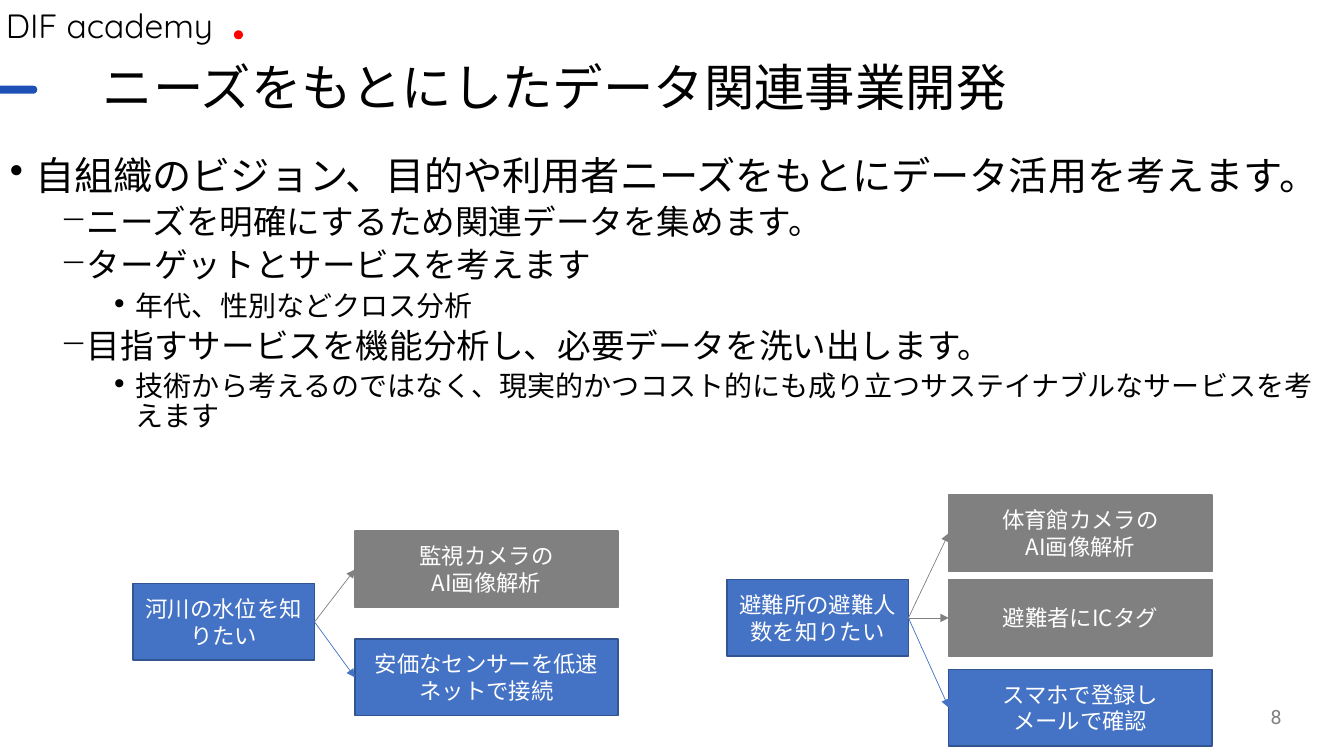
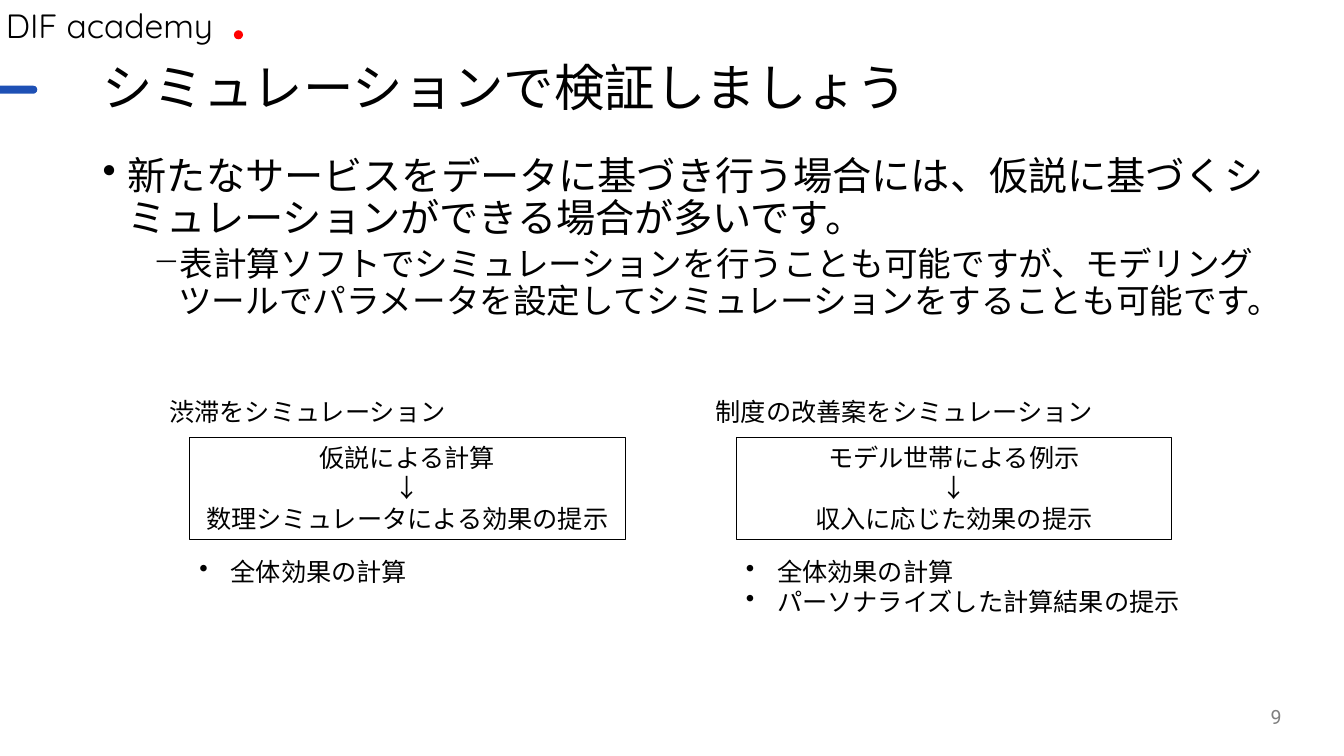
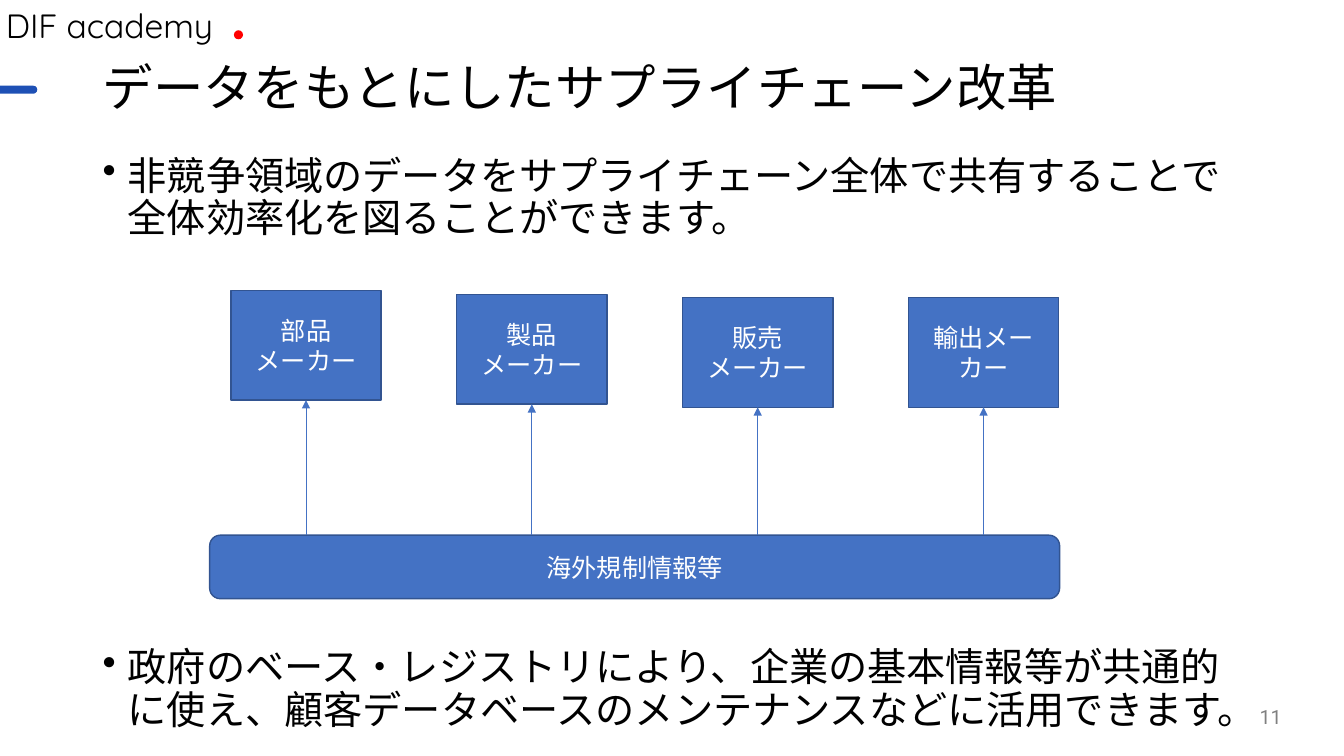
from lxml import etree
from pptx import Presentation
from pptx.dml.color import RGBColor
from pptx.enum.shapes import MSO_CONNECTOR, MSO_SHAPE
from pptx.enum.text import MSO_ANCHOR, PP_ALIGN
from pptx.oxml.ns import qn
from pptx.util import Inches, Pt

RECT, ROUND, OVAL = MSO_SHAPE.RECTANGLE, MSO_SHAPE.ROUNDED_RECTANGLE, MSO_SHAPE.OVAL
STRAIGHT = MSO_CONNECTOR.STRAIGHT
TOP, MIDDLE = MSO_ANCHOR.TOP, MSO_ANCHOR.MIDDLE
LEFT, CENTER, RIGHT = PP_ALIGN.LEFT, PP_ALIGN.CENTER, PP_ALIGN.RIGHT
BOTTOM_SIDE, LEFT_SIDE, RIGHT_SIDE = 2, 1, 3

COLORS = {
    "black": "000000", "white": "FFFFFF", "red": "FF0000", "accent": "1E50B5",
    "blue": "4472C4", "edge": "325491", "gray": "808080",
}
SANS, HEAD, BRAND = "Noto Sans CJK JP", "Roboto", "Quicksand"

# Outline levels: size, left margin, space before, bullet
LEVELS = [(28, 0.25, 10, "•"), (24, 0.75, 5, "−"), (20, 1.25, 5, "∙")]


def color(name):
    return RGBColor.from_string(COLORS[name])


def style(para, size, tint, font=SANS, align=LEFT):
    para.alignment = align
    para.font.size = Pt(size)
    para.font.color.rgb = color(tint)
    para.font.name = font
    east = etree.SubElement(para._p.pPr.find(qn("a:defRPr")), qn("a:ea"))
    east.set("typeface", SANS)


def bullet(para, char, margin, hang):
    """Give a styled paragraph a bullet with a hanging indent."""
    props = para._p.pPr
    props.set("marL", str(Inches(margin)))
    props.set("indent", str(Inches(-hang)))
    mark = etree.Element(qn("a:buChar"))
    mark.set("char", char)
    props.find(qn("a:defRPr")).addprevious(mark)


def write(frame, lines, size, tint="black", font=SANS, align=LEFT, anchor=TOP):
    """Put lines in a text frame and return its paragraphs."""
    frame.word_wrap = True
    frame.vertical_anchor = anchor
    frame.text = "\n".join(lines)
    for para in frame.paragraphs:
        style(para, size, tint, font, align)
    return frame.paragraphs


def text_box(slide, x, y, w, h):
    return slide.shapes.add_textbox(Inches(x), Inches(y), Inches(w), Inches(h))


def block(slide, kind, x, y, w, h, fill, edge=None):
    shape = slide.shapes.add_shape(kind, Inches(x), Inches(y), Inches(w), Inches(h))
    shape.shadow.inherit = False
    shape.fill.solid()
    shape.fill.fore_color.rgb = color(fill)
    if edge:
        shape.line.color.rgb = color(edge)
        shape.line.width = Pt(1)
    else:
        shape.line.fill.background()
    return shape


def node(slide, x, y, w, h, lines, size, fill="blue", kind=RECT):
    shape = block(slide, kind, x, y, w, h, fill, "edge" if fill == "blue" else fill)
    write(shape.text_frame, lines, size, "white", align=CENTER, anchor=MIDDLE)
    return shape


def arrow(slide, start, tint="blue"):
    """Draw an arrow from a point in EMU; the caller joins its end."""
    line = slide.shapes.add_connector(STRAIGHT, *start, *start)
    line.line.color.rgb = color(tint)
    line.line.width = Pt(0.5)
    tip = etree.SubElement(line.line._get_or_add_ln(), qn("a:tailEnd"))
    tip.set("type", "triangle")
    etree.SubElement(line._element.spPr, qn("a:effectLst"))
    return line


def outline(slide, x, y, w, h, items):
    """Write (level, text) items as a bulleted outline."""
    frame = text_box(slide, x, y, w, h).text_frame
    paras = write(frame, [text for _, text in items], 28)
    for para, (level, _) in zip(paras, items):
        size, margin, gap, char = LEVELS[level]
        para.level = level
        para.font.size = Pt(size)
        para.line_spacing = 0.9
        para.space_before = Pt(gap)
        bullet(para, char, margin, 0.25)


def new_slide(deck, title, number):
    """Add a slide with the shared header, title and page number."""
    slide = deck.slides.add_slide(deck.slide_layouts[6])
    block(slide, OVAL, 2.32, 0.3, 0.09, 0.09, "red")
    brand = text_box(slide, -0.04, 0, 2.45, 0.5).text_frame
    write(brand, ["DIF academy"], 24, font=BRAND)
    dash = block(slide, ROUND, -0.1, 0.85, 0.47, 0.08, "accent")
    dash.adjustments[0] = 0.5
    head = text_box(slide, 0.92, 0.57, 12.4, 0.65).text_frame
    write(head, [title], 36, font=HEAD, anchor=MIDDLE)[0].line_spacing = 0.9
    page = text_box(slide, 9.81, 6.91, 3, 0.4).text_frame
    write(page, [str(number)], 14, "gray", HEAD, RIGHT, MIDDLE)
    return slide


def choices(slide, x, y, need, gap, options):
    """Link a need to its options, given as (top, fill, lines)."""
    root = node(slide, x, y, 1.8, 0.76, [need], 16)
    for top, fill, lines in options:
        option = node(slide, x + 1.8 + gap, top, 2.61, 0.76, lines, 16, fill)
        line = arrow(slide, (root.left, root.top), fill)
        line.begin_connect(root, RIGHT_SIDE)
        line.end_connect(option, LEFT_SIDE)


def case(slide, x, label, steps, gains):
    """Show one simulation: label, framed steps and bulleted gains."""
    write(text_box(slide, x, 3.88, 4.02, 0.4).text_frame, [label], 18)
    frame = text_box(slide, x + 0.3, 4.34, 4.32, 1.01)
    frame.line.color.rgb = color("black")
    frame.line.width = Pt(0.75)
    write(frame.text_frame, steps, 18, align=CENTER)
    notes = text_box(slide, x + 0.3, 5.47, 4.84, 0.4 + 0.31 * (len(gains) - 1))
    for para in write(notes.text_frame, gains, 18):
        bullet(para, "•", 0.31, 0.31)


def needs_slide(deck):
    slide = new_slide(deck, "ニーズをもとにしたデータ関連事業開発", 8)
    outline(slide, 0, 1.5, 13.33, 2.9, [
        (0, "自組織のビジョン、目的や利用者ニーズをもとにデータ活用を考えます。"),
        (1, "ニーズを明確にするため関連データを集めます。"),
        (1, "ターゲットとサービスを考えます"),
        (2, "年代、性別などクロス分析"),
        (1, "目指すサービスを機能分析し、必要データを洗い出します。"),
        (2, "技術から考えるのではなく、現実的かつコスト的にも成り立つ"
            "サステイナブルなサービスを考えます"),
    ])
    choices(slide, 1.32, 5.79, "河川の水位を知りたい", 0.4, [
        (5.27, "gray", ["監視カメラの", "AI画像解析"]),
        (6.34, "blue", ["安価なセンサーを低速ネットで接続"]),
    ])
    choices(slide, 7.21, 5.75, "避難所の避難人数を知りたい", 0.4, [
        (4.91, "gray", ["体育館カメラの", "AI画像解析"]),
        (5.75, "gray", ["避難者にICタグ"]),
        (6.64, "blue", ["スマホで登録し", "メールで確認"]),
    ])


def test_slide(deck):
    slide = new_slide(deck, "シミュレーションで検証しましょう", 9)
    outline(slide, 0.92, 1.5, 11.9, 1.82, [
        (0, "新たなサービスをデータに基づき行う場合には、仮説に基づく"
            "シミュレーションができる場合が多いです。"),
        (1, "表計算ソフトでシミュレーションを行うことも可能ですが、モデリングツールで"
            "パラメータを設定してシミュレーションをすることも可能です。"),
    ])
    case(slide, 1.58, "渋滞をシミュレーション",
         ["仮説による計算", "↓", "数理シミュレータによる効果の提示"],
         ["全体効果の計算"])
    case(slide, 7, "制度の改善案をシミュレーション",
         ["モデル世帯による例示", "↓", "収入に応じた効果の提示"],
         ["全体効果の計算", "パーソナライズした計算結果の提示"])


def chain_slide(deck):
    slide = new_slide(deck, "データをもとにしたサプライチェーン改革", 11)
    outline(slide, 0.92, 1.5, 11.5, 0.95, [
        (0, "非競争領域のデータをサプライチェーン全体で共有することで"
            "全体効率化を図ることができます。"),
    ])
    outline(slide, 0.92, 6.38, 11.5, 0.95, [
        (0, "政府のベース・レジストリにより、企業の基本情報等が共通的に使え、"
            "顧客データベースのメンテナンスなどに活用できます。"),
    ])
    base = node(slide, 2.08, 5.31, 8.43, 0.63, ["海外規制情報等"], 18, kind=ROUND)
    makers = [
        (2.88, ["部品", "メーカー"]), (2.92, ["製品", "メーカー"]),
        (2.95, ["販売", "メーカー"]), (2.95, ["輸出メーカー"]),
    ]
    for col, (top, lines) in enumerate(makers):
        maker = node(slide, 2.29 + 2.24 * col, top, 1.49, 1.09, lines, 18)
        line = arrow(slide, (maker.left + maker.width // 2, base.top))
        line.end_connect(maker, BOTTOM_SIDE)


def main():
    deck = Presentation()
    deck.slide_width, deck.slide_height = Inches(13.33), Inches(7.5)
    needs_slide(deck)
    test_slide(deck)
    chain_slide(deck)
    deck.save("out.pptx")


if __name__ == "__main__":
    main()
